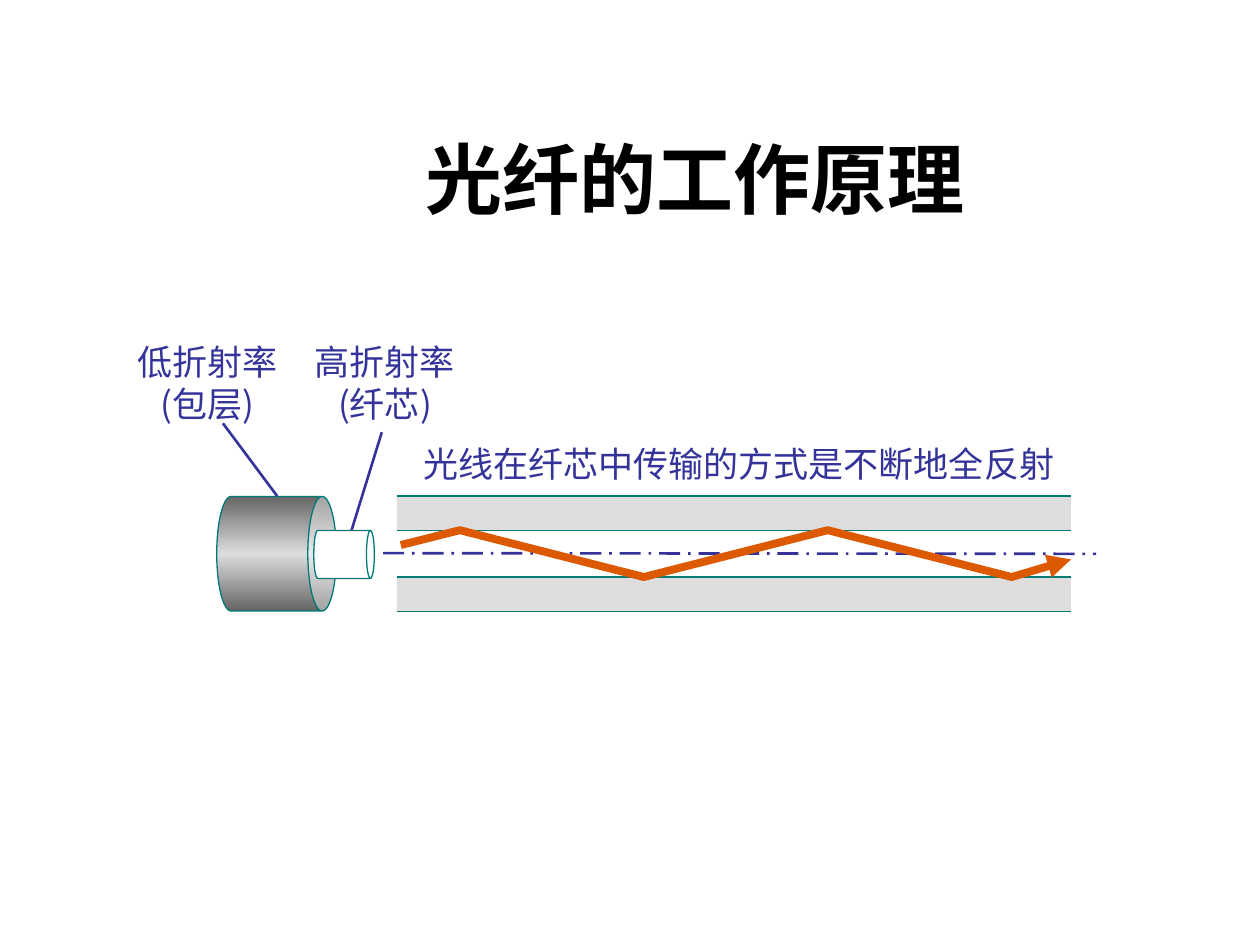
from copy import deepcopy
from dataclasses import dataclass
from itertools import pairwise
from typing import NamedTuple

from lxml import etree
from pptx import Presentation
from pptx import util as u
from pptx.dml.color import RGBColor
from pptx.enum import dml, shapes, text
from pptx.oxml import ns


@dataclass(frozen=True)
class Theme:
    ink: str = "000000"
    note: str = "333399"
    edge: str = "007A77"
    ray: str = "DC5900"
    cladding: str = "DDDDDD"
    shade: str = "656565"
    core: str = "FFFFFF"
    title_font: str = "Arial"
    cjk_font: str = "Noto Sans CJK SC"
    title_size: float = 44
    note_size: float = 20
    thin: float = 0.75
    medium: float = 1.5
    thick: float = 4.5


class Frame(NamedTuple):
    left: float
    top: float
    width: float
    height: float


class Label(NamedTuple):
    lines: tuple[str, ...]
    frame: Frame
    align: text.PP_ALIGN


class Segment(NamedTuple):
    start: tuple[float, float]
    end: tuple[float, float]


THEME = Theme()
FIBRE_LEFT, FIBRE_RIGHT = 226.8, 612
LEVELS = (283.5, 303, 329.75, 349.25)
BAND_COLORS = (THEME.cladding, THEME.core, THEME.cladding)
CORE_TOP, CORE_BOTTOM = LEVELS[1:3]
BOUNCE_LEFT, BOUNCE_STEP = 262.8, 105.1
BOUNCES = [(BOUNCE_LEFT + i * BOUNCE_STEP, (CORE_TOP, CORE_BOTTOM)[i % 2]) for i in range(4)]
RAY = [(229, 311.5), *BOUNCES, (612, 319.7)]
TITLE_FRAME = Frame(90.7, 16.6, 613.4, 115.2)
CLADDING_FRAME = Frame(125.3, 282.2, 65.5, 68.4)
CORE_FRAME = Frame(182.9, 299.5, 27.4, 34.6)
AXIS = Segment((218.9, 316.1), (626.4, 316.5))
LEADERS = (
    Segment((218.2, 247), (200.9, CORE_TOP)),
    Segment((127.4, 241.9), (158.4, LEVELS[0])),
)
LABELS = (
    Label(("高折射率", "(纤芯)"), Frame(172.8, 190.8, 94.3, 55.4), text.PP_ALIGN.CENTER),
    Label(("低折射率", "(包层)"), Frame(71.3, 190.8, 94.3, 55.4), text.PP_ALIGN.CENTER),
    Label(("光线在纤芯中传输的方式是不断地全反射",), Frame(234.7, 249.1, 375.1, 31.7), text.PP_ALIGN.LEFT),
)


def points(values) -> list[u.Length]:
    return [u.Pt(value) for value in values]


def write(para, content: str, *, font: str, size: float, color: str, bold: bool = False,
          align: text.PP_ALIGN = text.PP_ALIGN.LEFT) -> None:
    para.alignment = align
    span = para.add_run()
    span.text = content
    span.font.name = font
    span.font.size = u.Pt(size)
    span.font.bold = bold
    span.font.color.rgb = RGBColor.from_string(color)
    east_asian = etree.SubElement(span.font._element, ns.qn("a:ea"))
    east_asian.set("typeface", THEME.cjk_font)


def stroke(line, color: str, width: float) -> None:
    line.color.rgb = RGBColor.from_string(color)
    line.width = u.Pt(width)


def add_solid(page, kind: shapes.MSO_SHAPE, frame: Frame, fill: str):
    shape = page.shapes.add_shape(kind, *points(frame))
    shape.shadow.inherit = False
    shape.fill.solid()
    shape.fill.fore_color.rgb = RGBColor.from_string(fill)
    shape.line.fill.background()
    return shape


def add_can(page, frame: Frame, curve: float):
    can = add_solid(page, shapes.MSO_SHAPE.CAN, frame, THEME.core)
    can.rotation = 90
    can.adjustments[0] = curve
    stroke(can.line, THEME.edge, THEME.thin)
    return can


def shade_metal(shape) -> None:
    shape.fill.gradient()
    shape.fill.gradient_angle = 0
    first = shape._element.spPr.find(".//" + ns.qn("a:gs"))
    first.addnext(deepcopy(first))
    for stop, position, color in zip(shape.fill.gradient_stops, (0, 0.5, 1),
                                     (THEME.shade, THEME.cladding, THEME.shade)):
        stop.position = position
        stop.color.rgb = RGBColor.from_string(color)


def add_line(parent, segment: Segment, color: str, width: float):
    line = parent.shapes.add_connector(shapes.MSO_CONNECTOR.STRAIGHT,
                                       *points(segment.start + segment.end))
    stroke(line.line, color, width)
    etree.SubElement(line._element.spPr, ns.qn("a:effectLst"))
    return line


def add_label(page, label: Label) -> None:
    box = page.shapes.add_textbox(*points(label.frame))
    frame = box.text_frame
    frame.word_wrap = False
    frame.auto_size = text.MSO_AUTO_SIZE.SHAPE_TO_FIT_TEXT
    for index, content in enumerate(label.lines):
        para = frame.add_paragraph() if index else frame.paragraphs[0]
        write(para, content, font=THEME.cjk_font, size=THEME.note_size,
              color=THEME.note, align=label.align)


def add_title(page, content: str) -> None:
    title = page.shapes.title
    title.left, title.top, title.width, title.height = points(TITLE_FRAME)
    title.text_frame.vertical_anchor = text.MSO_ANCHOR.BOTTOM
    write(title.text_frame.paragraphs[0], content, font=THEME.title_font,
          size=THEME.title_size, color=THEME.ink, bold=True, align=text.PP_ALIGN.CENTER)


def add_ray(page) -> None:
    start, *rest = [tuple(points(vertex)) for vertex in RAY]
    builder = page.shapes.build_freeform(*start)
    builder.add_line_segments(rest, close=False)
    ray = builder.convert_to_shape()
    ray.shadow.inherit = False
    ray.fill.background()
    stroke(ray.line, THEME.ray, THEME.thick)
    etree.SubElement(ray.line._get_or_add_ln(), ns.qn("a:tailEnd")).set("type", "triangle")


def main() -> None:
    deck = Presentation()
    deck.slide_width, deck.slide_height = points((720, 540))
    page = deck.slides.add_slide(deck.slide_layouts[5])
    add_title(page, "光纤的工作原理")

    length = FIBRE_RIGHT - FIBRE_LEFT
    for (top, bottom), color in zip(pairwise(LEVELS), BAND_COLORS):
        add_solid(page, shapes.MSO_SHAPE.RECTANGLE,
                  Frame(FIBRE_LEFT, top, length, bottom - top), color)
    shade_metal(add_can(page, CLADDING_FRAME, 0.25))
    add_can(page, CORE_FRAME, 0.164)

    borders = page.shapes.add_group_shape()
    for level in LEVELS:
        add_line(borders, Segment((FIBRE_LEFT, level), (FIBRE_RIGHT, level)),
                 THEME.edge, THEME.thin)
    axis = add_line(page, AXIS, THEME.note, THEME.medium)
    axis.line.dash_style = dml.MSO_LINE.LONG_DASH_DOT
    for leader in LEADERS:
        add_line(page, leader, THEME.note, THEME.medium)
    for label in LABELS:
        add_label(page, label)
    add_ray(page)
    deck.save("out.pptx")


if __name__ == "__main__":
    main()
